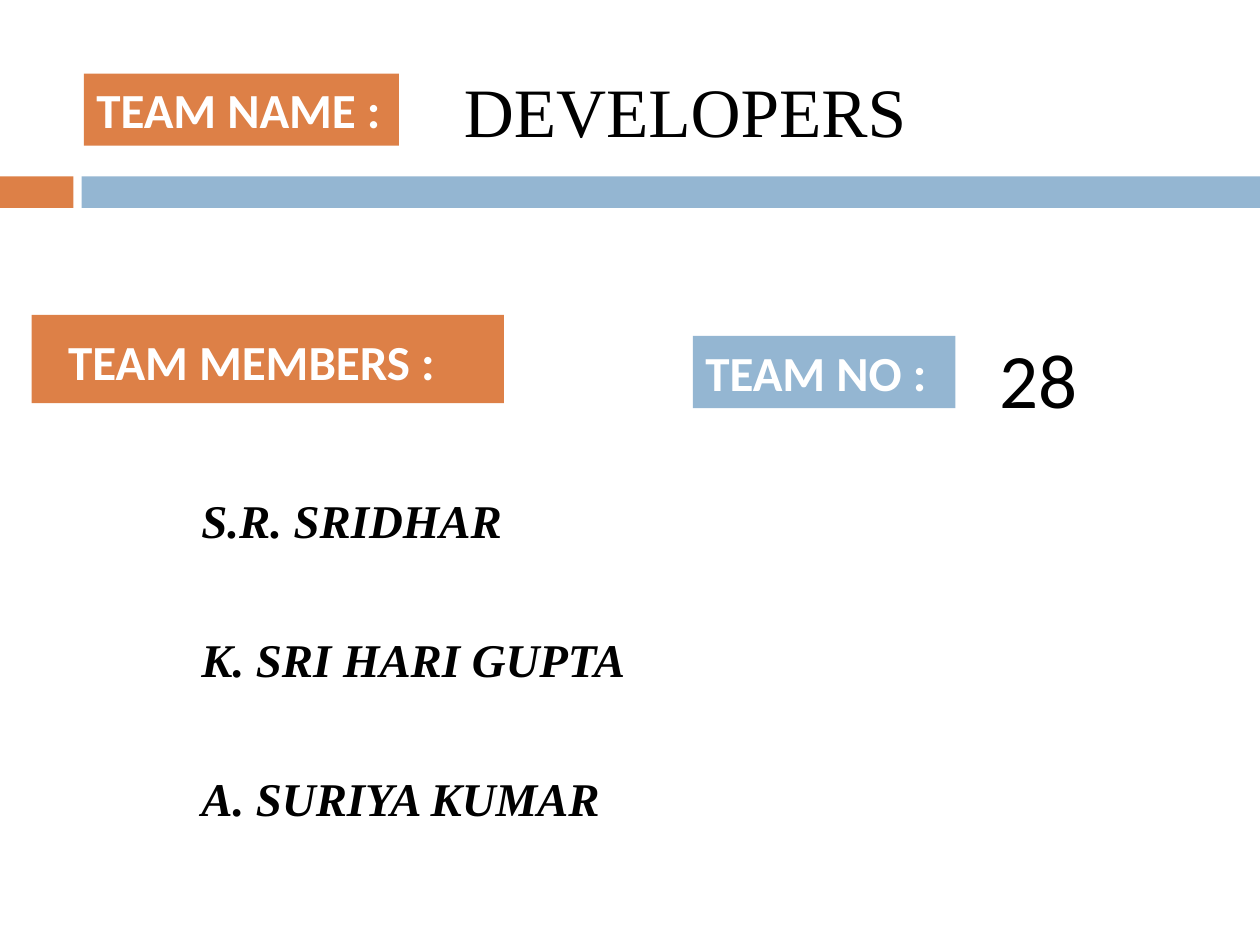
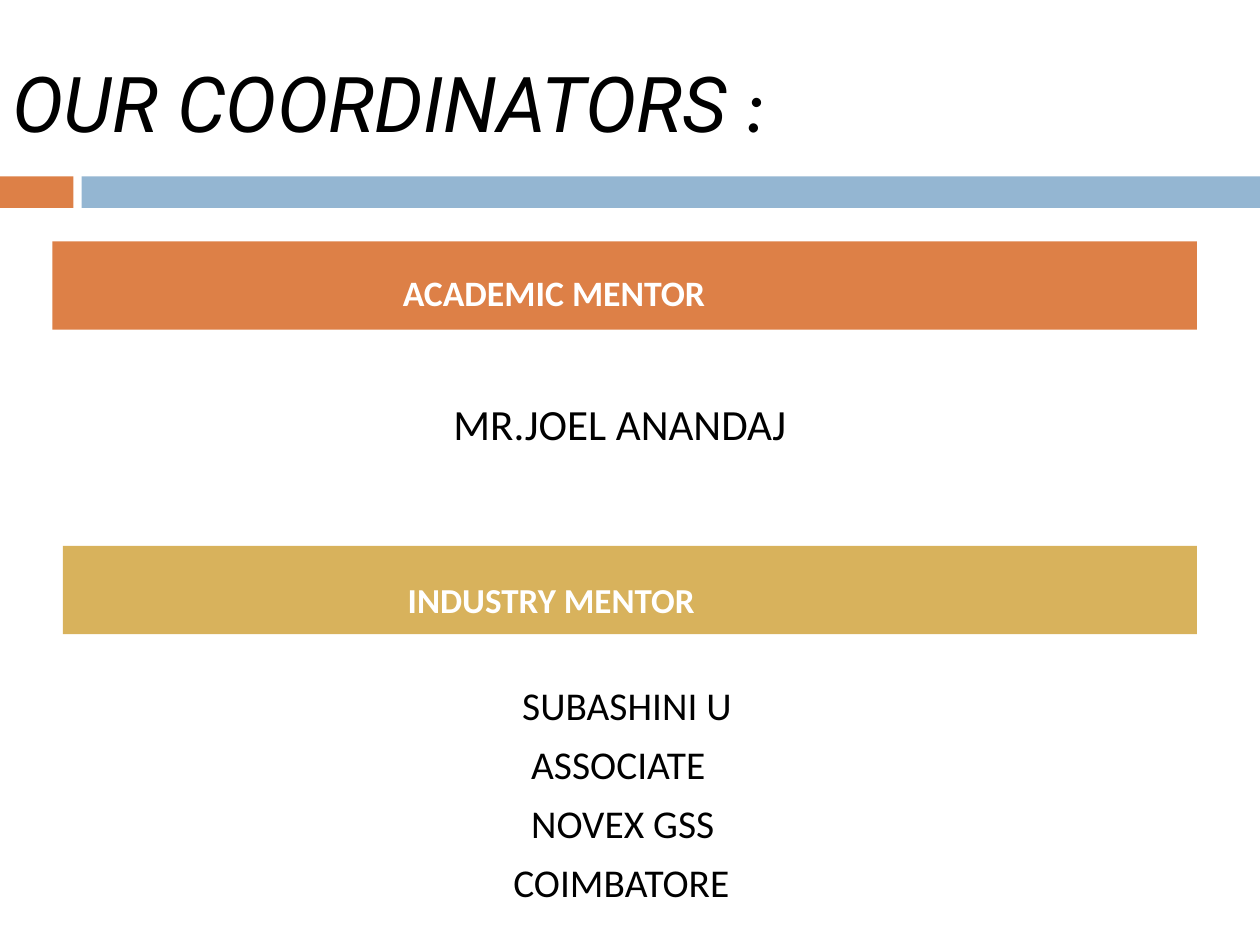
from pptx import Presentation
from pptx import util as u
from pptx.dml.color import RGBColor
from pptx.enum import shapes, text

COLORS = {"orange": "DD8047", "blue": "94B6D2", "gold": "D8B25C",
          "white": "FFFFFF", "black": "000000"}
SERIF, SANS, DISPLAY = "Times New Roman", "Calibri", "Roboto"


def add_run(paragraph, words, size, font=SANS, color="black", bold=False, italic=False):
    run = paragraph.add_run()
    run.text = words
    run.font.size = u.Pt(size)
    run.font.name = font
    run.font.bold = bold
    run.font.italic = italic
    run.font.color.rgb = RGBColor.from_string(COLORS[color])


def add_box(slide, box, fill=None, left_inset=7.2, top_inset=3.6,
            anchor=text.MSO_ANCHOR.TOP):
    """Add a plain rectangle, filled or not, and return its text frame."""
    place = [u.Pt(length) for length in box]
    if fill:
        shape = slide.shapes.add_shape(shapes.MSO_SHAPE.RECTANGLE, *place)
        shape.fill.solid()
        shape.fill.fore_color.rgb = RGBColor.from_string(COLORS[fill])
        shape.line.fill.background()
        shape.shadow.inherit = False
    else:
        shape = slide.shapes.add_textbox(*place)
    frame = shape.text_frame
    frame.word_wrap = True
    frame.vertical_anchor = anchor
    frame.margin_left, frame.margin_top = u.Pt(left_inset), u.Pt(top_inset)
    frame.paragraphs[0].alignment = text.PP_ALIGN.LEFT
    return frame


presentation = Presentation()
presentation.slide_width, presentation.slide_height = u.Pt(720), u.Pt(540)

# Both slides: title and the two bands below it
titles = [
    ((257.8, 36, 342, 54), [("DEVELOPERS", 39.6, SERIF, False)]),
    ((0, 23.8, 642.2, 68.4), [("OUR COORDINATORS", 44, DISPLAY, True),
                              (" :", 44, SANS, True)]),
]
for box, runs in titles:
    slide = presentation.slides.add_slide(presentation.slide_layouts[5])
    add_box(slide, (0, 100.8, 42, 18), "orange")
    add_box(slide, (46.6, 100.8, 673.4, 18), "blue")

    title = slide.shapes.title
    title.left, title.top, title.width, title.height = [u.Pt(length) for length in box]
    frame = title.text_frame
    frame.auto_size = text.MSO_AUTO_SIZE.NONE
    frame.vertical_anchor = text.MSO_ANCHOR.MIDDLE
    paragraph = frame.paragraphs[0]
    paragraph.alignment = text.PP_ALIGN.LEFT
    for words, size, font, italic in runs:
        add_run(paragraph, words, size, font, italic=italic)

team_slide, coordinator_slide = presentation.slides

# Team slide: labels
labels = [
    ("TEAM MEMBERS :", (18, 180, 270, 50.4), "orange", 20.9, 5.6, text.MSO_ANCHOR.MIDDLE),
    ("TEAM NAME :", (48, 42, 180, 41.2), "orange", 7.2, 3.6, text.MSO_ANCHOR.TOP),
    ("TEAM NO :", (396, 192, 150, 41.2), "blue", 7.2, 3.6, text.MSO_ANCHOR.TOP),
]
for words, box, fill, left_inset, top_inset, anchor in labels:
    frame = add_box(team_slide, box, fill, left_inset, top_inset, anchor)
    add_run(frame.paragraphs[0], words, 28, color="white", bold=True)

# Team slide: number and members
frame = add_box(team_slide, (564, 186, 96, 60.6))
add_run(frame.paragraphs[0], "28", 44)

frame = add_box(team_slide, (108, 234, 282, 234), top_inset=46.7)
for index, member in enumerate(["S.R. SRIDHAR", "K. SRI HARI GUPTA", "A. SURIYA KUMAR"]):
    paragraph = frame.add_paragraph() if index else frame.paragraphs[0]
    paragraph.space_after = u.Pt(47.5)
    add_run(paragraph, member, 26.8, SERIF, bold=True, italic=True)

# Coordinator slide: mentor headings
headings = [
    ("ACADEMIC MENTOR", (30, 138, 654, 50.4), "orange", 200.2, 11.6, 20.4),
    ("INDUSTRY MENTOR", (36, 312, 648, 50.4), "gold", 197, 14.2, 20),
]
for words, box, fill, left_inset, top_inset, size in headings:
    frame = add_box(coordinator_slide, box, fill, left_inset, top_inset,
                    text.MSO_ANCHOR.MIDDLE)
    add_run(frame.paragraphs[0], words, size, color="white", bold=True)

# Coordinator slide: mentor details
frame = add_box(coordinator_slide, (252, 222, 222, 54), top_inset=5)
add_run(frame.paragraphs[0], "MR.JOEL ANANDAJ", 24.6)

frame = add_box(coordinator_slide, (276, 384, 306, 120), top_inset=5)
details = [("SUBASHINI U", 15.3), ("ASSOCIATE", 20.4), ("NOVEX GSS", 20.4),
           ("COIMBATORE", 10.2)]
for index, (words, indent) in enumerate(details):
    paragraph = frame.add_paragraph() if index else frame.paragraphs[0]
    paragraph.space_after = u.Pt(6.7)
    properties = paragraph._p.get_or_add_pPr()
    properties.set("marL", str(u.Pt(indent)))
    add_run(paragraph, words, 22.5)

presentation.save("out.pptx")
